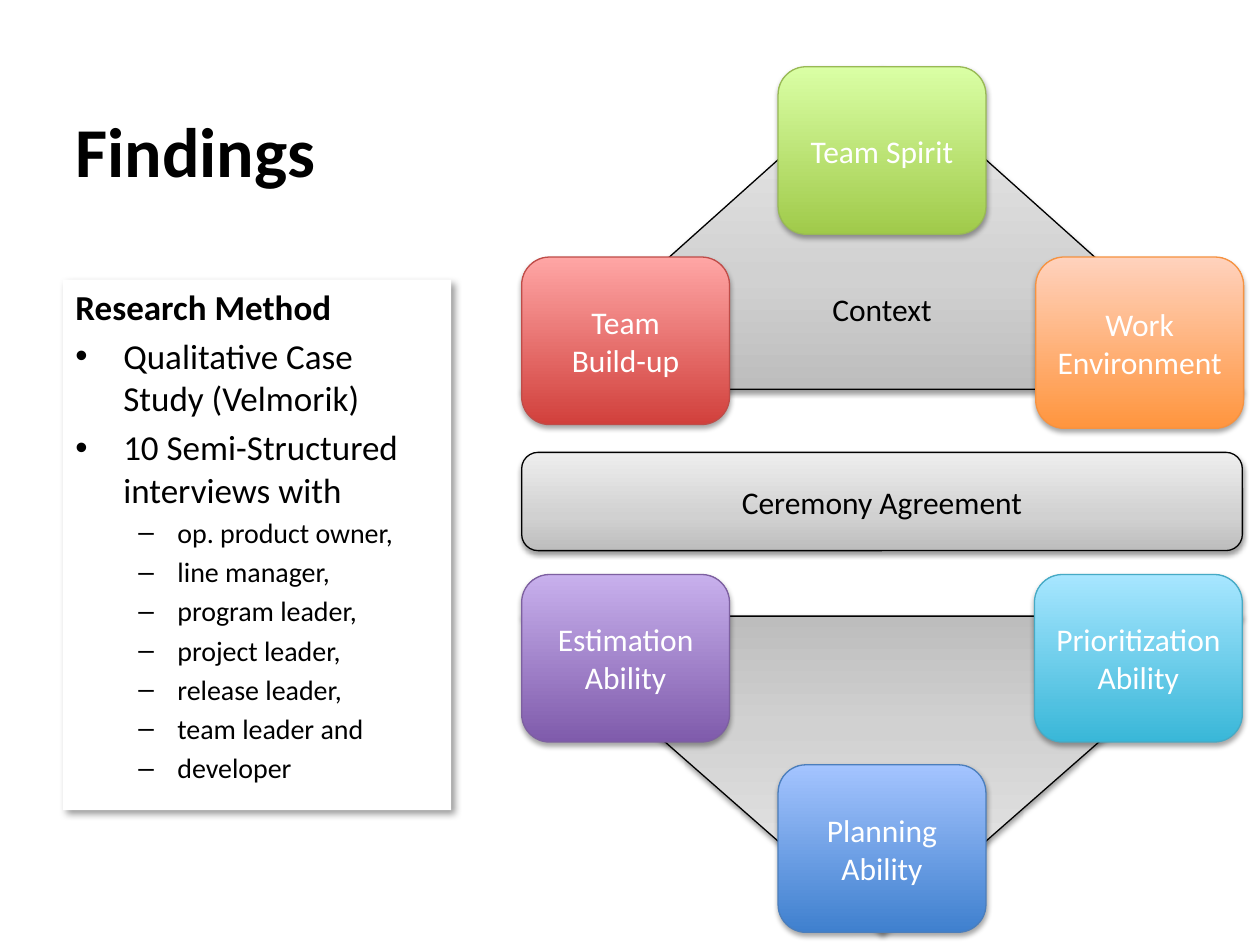
"""Build the Findings slide: research method beside context and ability diagrams."""
from copy import deepcopy

from lxml import etree
from pptx import Presentation
from pptx.dml.color import RGBColor
from pptx.enum import shapes as s, text as t
from pptx.oxml.ns import qn
from pptx.util import Inches, Pt

COLORS = {"ink": "000000", "paper": "FFFFFF"}
GRAY = [(0, "BDBDBD"), (0.35, "D1D1D1"), (1, "EEEEEE")]
FONT = "Calibri"
TITLE = "Findings"
METHOD_HEADING = "Research Method"
METHODS = ["Qualitative Case Study (Velmorik)", "10 Semi-Structured interviews with"]
ROLES = ["op. product owner,", "line manager,", "program leader,", "project leader,",
         "release leader,", "team leader and", "developer"]

LEFT, SPAN, CARD_W, CARD_H = 4.14, 5.72, 1.65, 1.33
MIDDLE, RIGHT = LEFT + (SPAN - CARD_W) / 2, LEFT + SPAN - CARD_W
TRIANGLE, ROUNDED = s.MSO_SHAPE.ISOSCELES_TRIANGLE, s.MSO_SHAPE.ROUNDED_RECTANGLE
BACKDROPS = [
    (TRIANGLE, "", 4.89, 2.51, True),
    (TRIANGLE, "Context", 0.53, 2.56, False),
    (ROUNDED, "Ceremony Agreement", 3.59, 0.78, False),
]
CARDS = [
    ("Team Spirit", MIDDLE, 0.53, CARD_H, "A0CA4A", "DAFFA5", "98B955"),
    ("Work Environment", RIGHT + 0.01, 2.04, 1.36, "FF953E", "FFD2BD", "F69240"),
    ("Team\vBuild-up", LEFT, 2.04, CARD_H, "D1403C", "FFA6A5", "BF4C48"),
    ("Planning Ability", MIDDLE, 6.07, CARD_H, "3F80CE", "A4C4FF", "4B7EBC"),
    ("Prioritization Ability", RIGHT, 4.56, CARD_H, "39B7D8", "A7E6FF", "46AAC5"),
    ("Estimation Ability", LEFT, 4.56, CARD_H, "7F5BAB", "C8B0ED", "7D60A0"),
]


def rgb(value):
    return RGBColor.from_string(value)


def style(paragraph, size, color, bold=False):
    font = paragraph.font
    font.name, font.size, font.bold = FONT, Pt(size), bold
    font.color.rgb = rgb(color)


def cast_shadow(shape, opacity, blur, distance, angle):
    shape.shadow.inherit = False
    effects = shape._element.spPr.find(qn("a:effectLst"))
    shadow = etree.SubElement(effects, qn("a:outerShdw"), blurRad=str(Pt(blur)),
                              dist=str(Pt(distance)), dir=str(angle * 60000),
                              rotWithShape="0")
    color = etree.SubElement(shadow, qn("a:srgbClr"), val=COLORS["ink"])
    etree.SubElement(color, qn("a:alpha"), val=str(opacity * 1000))


def fill_gradient(shape, stops):
    shape.fill.gradient()
    shape.fill.gradient_angle = 90
    stop_list = shape._element.spPr.find(".//" + qn("a:gsLst"))
    for _ in stops[2:]:
        stop_list.append(deepcopy(stop_list[0]))
    for stop, (position, color) in zip(shape.fill.gradient_stops, stops):
        stop.position = position
        stop.color.rgb = rgb(color)


def add_block(slide, kind, label, box, stops, line, color, shadow):
    block = slide.shapes.add_shape(kind, *map(Inches, box))
    fill_gradient(block, stops)
    block.line.color.rgb = rgb(line)
    block.line.width = Pt(0.75)
    cast_shadow(block, *shadow)
    if label:
        frame = block.text_frame
        frame.word_wrap = True
        frame.vertical_anchor = t.MSO_ANCHOR.MIDDLE
        frame.text = label
        frame.paragraphs[0].alignment = t.PP_ALIGN.CENTER
        style(frame.paragraphs[0], 18, color)
    return block


def add_item(frame, label, size, bullet, margin, hanging, level=0):
    item = frame.add_paragraph()
    item.text = label
    item.level = level
    item.space_before = Pt(size * 0.2)
    properties = item._p.get_or_add_pPr()
    properties.set("marL", str(Inches(margin)))
    properties.set("indent", str(-Inches(hanging)))
    etree.SubElement(properties, qn("a:buFont"), typeface="Arial")
    etree.SubElement(properties, qn("a:buChar"), char=bullet)
    item.alignment = t.PP_ALIGN.LEFT
    style(item, size, COLORS["ink"])


def add_title(slide):
    frame = slide.shapes.add_textbox(*map(Inches, (0.5, 0.3, 3.29, 1.27))).text_frame
    frame.word_wrap = True
    frame.vertical_anchor = t.MSO_ANCHOR.BOTTOM
    frame.text = TITLE
    style(frame.paragraphs[0], 40, COLORS["ink"], True)


def add_method(slide):
    panel = slide.shapes.add_shape(s.MSO_SHAPE.RECTANGLE,
                                   *map(Inches, (0.5, 2.22, 3.08, 4.21)))
    panel.fill.solid()
    panel.fill.fore_color.rgb = rgb(COLORS["paper"])
    panel.line.fill.background()
    cast_shadow(panel, 40, 4, 3, 45)
    frame = panel.text_frame
    frame.word_wrap = True
    frame.vertical_anchor = t.MSO_ANCHOR.TOP
    frame.text = METHOD_HEADING
    frame.paragraphs[0].alignment = t.PP_ALIGN.LEFT
    style(frame.paragraphs[0], 20, COLORS["ink"], True)
    for method in METHODS:
        add_item(frame, method, 20, "•", 0.38, 0.38)
    for role in ROLES:
        add_item(frame, role, 16, "–", 0.81, 0.31, 1)


def main():
    deck = Presentation()
    deck.slide_width, deck.slide_height = Inches(10), Inches(7.5)
    slide = deck.slides.add_slide(deck.slide_layouts[6])
    add_title(slide)
    add_method(slide)
    for kind, label, top, height, flipped in BACKDROPS:
        backdrop = add_block(slide, kind, label, (LEFT, top, SPAN, height), GRAY,
                             COLORS["ink"], COLORS["ink"], (38, 3.1, 1.6, 90))
        if flipped:
            backdrop._element.spPr.xfrm.set("flipV", "1")
    for label, left, top, height, dark, light, line in CARDS:
        add_block(slide, ROUNDED, label, (left, top, CARD_W, height),
                  [(0, dark), (1, light)], line, COLORS["paper"], (35, 3.1, 1.8, 90))
    deck.save("out.pptx")


if __name__ == "__main__":
    main()
